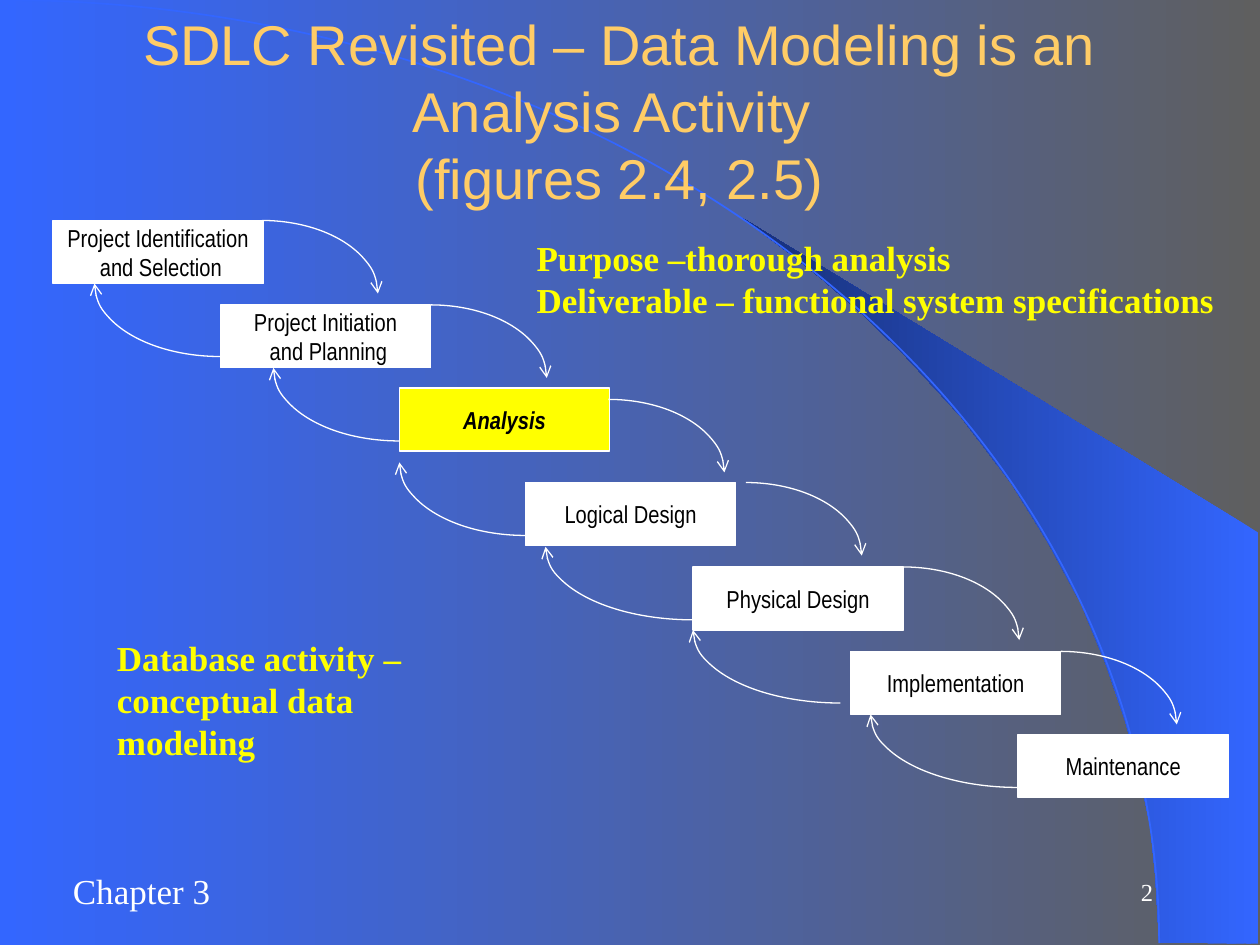
import pptx
import pptx.util
import pptx.dml.color
import pptx.enum.shapes
import pptx.enum.text
import pptx.oxml
import pptx.oxml.ns
from dataclasses import dataclass

Inches = pptx.util.Inches
Kind = pptx.enum.shapes.MSO_SHAPE
Align = pptx.enum.text.PP_ALIGN
Anchor = pptx.enum.text.MSO_ANCHOR


@dataclass(frozen=True)
class Theme:
    blue: str = "3366FF"
    navy: str = "172F75"
    gray: str = "5F5F5F"
    gold: str = "FFCC66"
    yellow: str = "FFFF00"
    white: str = "FFFFFF"
    black: str = "000000"
    sans: str = "Arial"
    narrow: str = "Arial Narrow"
    serif: str = "Times New Roman"
    head: int = 32
    body: int = 20
    small: int = 14
    thin: float = 0.75


THEME = Theme()
TITLE = ["SDLC Revisited – Data Modeling is an Analysis Activity \v(figures 2.4, 2.5)"]
FOOTER = ["Chapter 3"]
NUMBER = ["2"]
NOTES = [
    (["Purpose –thorough analysis", "Deliverable – functional system specifications"],
     (4.16, 1.83, 5.58, 0.77)),
    (["Database activity –", "conceptual data modeling"], (0.83, 5, 3.24, 0.77)),
]
FOCUS = "Analysis"
BOX = (1.67, 0.5)
# Lines of text, left, top
STEPS = [
    (["Project Identification", " and Selection"], 0.42, 1.75),
    (["Project Initiation", " and Planning"], 1.75, 2.42),
    ([FOCUS], 3.17, 3.08),
    (["Logical Design"], 4.17, 3.83),
    (["Physical Design"], 5.5, 4.5),
    (["Implementation"], 6.75, 5.17),
    (["Maintenance"], 8.08, 5.83),
]
# Start of each arrow down, always the same size
DOWN = [(2.08, 1.75), (3.42, 2.42), (4.83, 3.17), (5.92, 3.83), (7.17, 4.5), (8.42, 5.17)]
DOWN_WIDE = 0.92
# Start and width of each arrow back up
BACK = [(1.75, 2.83, 1), (3.17, 3.5, 1), (4.17, 4.25, 1),
        (5.5, 4.92, 1.17), (6.67, 5.58, 1.17), (8.08, 6.25, 1.17)]
RISE = 0.58
SWEEP = [
    (9.2, 7.48), (9.99, 7.49), (9.99, 4.23), (5.89, 1.73), (6.24, 1.99), (6.53, 2.22),
    (6.85, 2.5), (7.16, 2.8), (7.62, 3.3), (8.03, 3.84), (8.32, 4.31), (8.58, 4.79),
    (8.78, 5.28), (8.93, 5.72), (9.03, 6.09), (9.13, 6.56), (9.17, 6.96),
]


def color(code):
    return pptx.dml.color.RGBColor.from_string(code)


def blend(fill, right, left):
    """Fill with a gradient that runs from the right edge to the left."""
    fill.gradient()
    fill.gradient_angle = 180
    for stop, code in zip(fill.gradient_stops, (right, left)):
        stop.color.rgb = color(code)


def write(shape, lines, *, font, size, ink, bold=False, slant=False,
          align=Align.LEFT, anchor=Anchor.TOP, wrap=False):
    frame = shape.text_frame
    frame.word_wrap = wrap
    frame.vertical_anchor = anchor
    frame.text = "\n".join(lines)
    for para in frame.paragraphs:
        para.alignment = align
        for run in para.runs:
            run.font.name = font
            run.font.size = pptx.util.Pt(size)
            run.font.color.rgb = color(ink)
            run.font.bold = bold
            run.font.italic = slant


def label(slide, lines, area, **style):
    write(slide.shapes.add_textbox(*map(Inches, area)), lines, **style)


def arc(slide, area, code, width, turn=None, arrow=True):
    """Draw a quarter arc; turn holds start and end angles in degrees."""
    shape = slide.shapes.add_shape(Kind.ARC, *map(Inches, area))
    shape.shadow.inherit = False
    shape.fill.background()
    shape.line.color.rgb = color(code)
    shape.line.width = pptx.util.Pt(width)
    for i, angle in enumerate(turn or ()):
        shape.adjustments[i] = angle * 0.6
    if arrow:
        space = pptx.oxml.ns.nsdecls("a")
        shape.line._get_or_add_ln().append(
            pptx.oxml.parse_xml(f'<a:tailEnd {space} type="arrow"/>'))


def backdrop(slide):
    blend(slide.background.fill, THEME.gray, THEME.blue)
    points = [(Inches(x), Inches(y)) for x, y in SWEEP]
    maker = slide.shapes.build_freeform(*points[0])
    maker.add_line_segments(points[1:])
    sweep = maker.convert_to_shape()
    sweep.shadow.inherit = False
    sweep.line.fill.background()
    blend(sweep.fill, THEME.blue, THEME.navy)
    arc(slide, (-9.2, 0, 18.4, 14.97), THEME.blue, 1, arrow=False)


def step(slide, lines, left, top):
    focus = lines == [FOCUS]
    shape = slide.shapes.add_shape(Kind.RECTANGLE, *map(Inches, (left, top, *BOX)))
    shape.shadow.inherit = False
    shape.fill.solid()
    shape.fill.fore_color.rgb = color(THEME.yellow if focus else THEME.white)
    shape.line.color.rgb = color(THEME.white)
    shape.line.width = pptx.util.Pt(THEME.thin)
    write(shape, lines, font=THEME.narrow, size=THEME.small, ink=THEME.black,
          bold=focus, slant=focus, align=Align.CENTER, anchor=Anchor.MIDDLE)


def main():
    deck = pptx.Presentation()
    deck.slide_width, deck.slide_height = Inches(10), Inches(7.5)
    slide = deck.slides.add_slide(deck.slide_layouts[6])
    backdrop(slide)
    label(slide, FOOTER, (0.48, 6.85, 1.29, 0.44),
          font=THEME.serif, size=THEME.body, ink=THEME.white)
    label(slide, TITLE, (0.67, 0.25, 8.5, 1.25), font=THEME.sans, size=THEME.head,
          ink=THEME.gold, align=Align.CENTER, anchor=Anchor.MIDDLE, wrap=True)
    for lines, left, top in STEPS:
        step(slide, lines, left, top)
    for x, y in DOWN:
        arc(slide, (x - DOWN_WIDE, y, 2 * DOWN_WIDE, 2 * RISE), THEME.white, THEME.thin)
    for x, y, wide in BACK:
        arc(slide, (x - wide, y - 2 * RISE, 2 * wide, 2 * RISE),
            THEME.white, THEME.thin, turn=(90, 180))
    for lines, area in NOTES:
        label(slide, lines, area, font=THEME.serif, size=THEME.body,
              ink=THEME.yellow, bold=True)
    label(slide, NUMBER, (7.17, 6.83, 2.08, 0.5), font=THEME.serif, size=THEME.small,
          ink=THEME.white, align=Align.RIGHT, anchor=Anchor.MIDDLE, wrap=True)
    deck.save("out.pptx")


if __name__ == "__main__":
    main()
